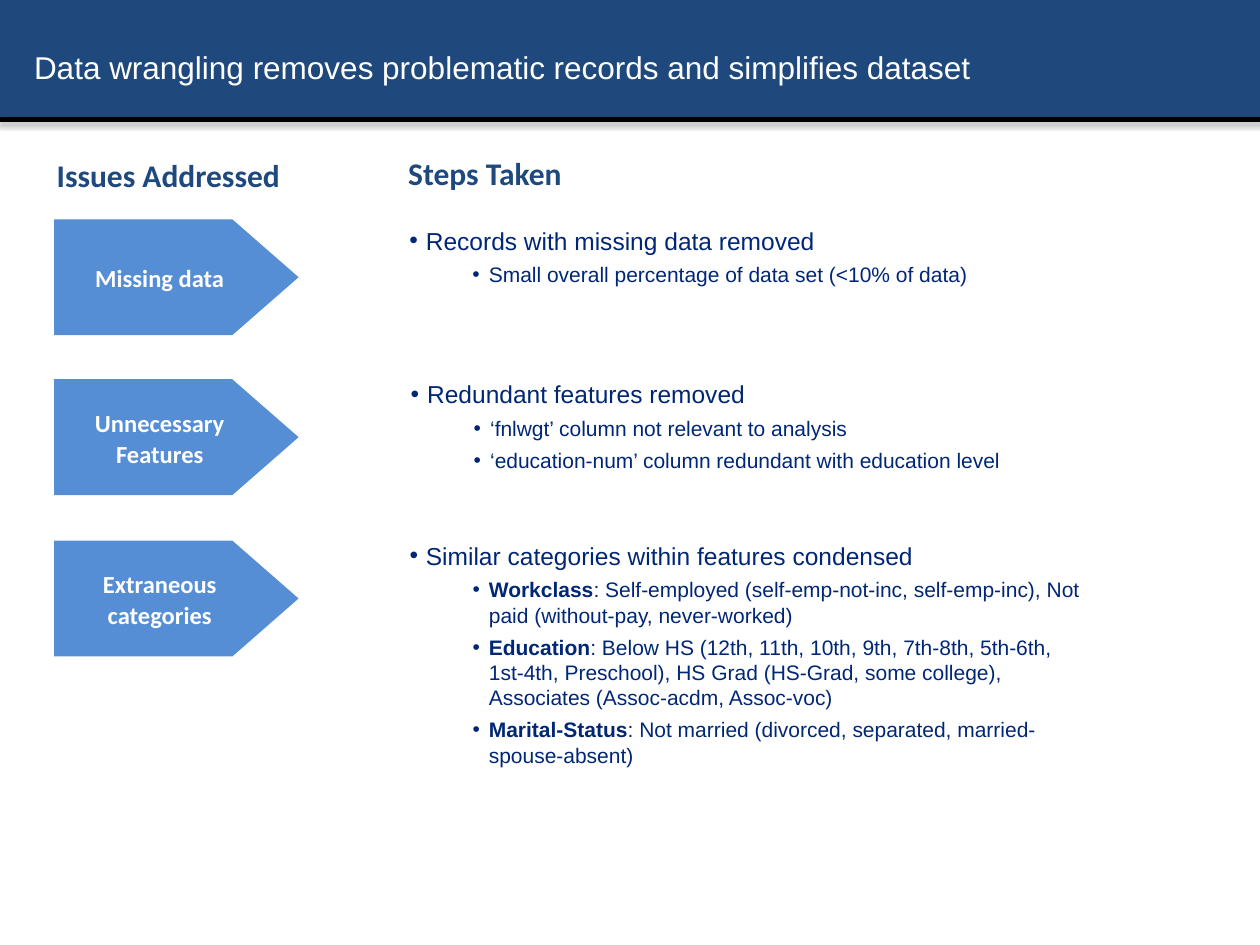
from dataclasses import dataclass

from lxml import etree
from pptx import Presentation
from pptx.dml.color import RGBColor
from pptx.enum.shapes import MSO_CONNECTOR, MSO_SHAPE
from pptx.enum.text import MSO_ANCHOR, MSO_AUTO_SIZE, PP_ALIGN
from pptx.oxml import parse_xml
from pptx.oxml.ns import nsdecls, qn
from pptx.util import Inches, Pt

RECT, ARROW = MSO_SHAPE.RECTANGLE, MSO_SHAPE.PENTAGON
STRAIGHT = MSO_CONNECTOR.STRAIGHT
TOP, MIDDLE = MSO_ANCHOR.TOP, MSO_ANCHOR.MIDDLE
LEFT, CENTER = PP_ALIGN.LEFT, PP_ALIGN.CENTER


@dataclass(frozen=True)
class Theme:
    navy: RGBColor = RGBColor(0x1F, 0x49, 0x7D)
    blue: RGBColor = RGBColor(0x55, 0x8E, 0xD5)
    text: RGBColor = RGBColor(0x00, 0x27, 0x76)
    white: RGBColor = RGBColor(0xFF, 0xFF, 0xFF)
    black: RGBColor = RGBColor(0, 0, 0)
    body_font: str = "Arial"
    head_font: str = "Calibri"
    head: int = 18
    item: int = 14
    detail: int = 12


T = Theme()


def style(p, font, size, color, bold=False):
    for r in p.runs:
        r.font.name, r.font.size, r.font.bold = font, Pt(size), bold
        r.font.color.rgb = color


def add_text_frame(s, x, y, w, h):
    """Add a wrapping text box without insets."""
    tf = s.shapes.add_textbox(Inches(x), Inches(y), Inches(w), Inches(h)).text_frame
    tf.word_wrap = True
    tf.margin_left = tf.margin_right = tf.margin_top = tf.margin_bottom = 0
    return tf


# Each issue: label, top, left of its steps, main step, details as (bold lead, text)
ISSUES = [
    ("Missing data", 1.74, (3.25, 1.79, 4.67, 0.75),
     "Records with missing data removed",
     [("", "Small overall percentage of data set (<10% of data)")]),
    ("Unnecessary Features", 3.01, (3.26, 3.01, 5.41, 1.01),
     "Redundant features removed",
     [("", "‘fnlwgt’ column not relevant to analysis"),
      ("", "‘education-num’ column redundant with education level")]),
    ("Extraneous categories", 4.29, (3.25, 4.29, 5.41, 2.08),
     "Similar categories within features condensed",
     [("Workclass", ": Self-employed (self-emp-not-inc, self-emp-inc), "
                    "Not paid (without-pay, never-worked)"),
      ("Education", ": Below HS (12th, 11th, 10th, 9th, 7th-8th, 5th-6th, 1st-4th, "
                    "Preschool), HS Grad (HS-Grad, some college), "
                    "Associates (Assoc-acdm, Assoc-voc)"),
      ("Marital-Status", ": Not married (divorced, separated, married-spouse-absent)")]),
]

prs = Presentation()
prs.slide_width, prs.slide_height = Inches(10), Inches(7.5)
s = prs.slides.add_slide(prs.slide_layouts[5])

# Header band, placed behind the title
band = s.shapes.add_shape(RECT, Inches(-0.01), 0, Inches(10.03), Inches(0.93))
band.shadow.inherit = False
band.fill.solid()
band.fill.fore_color.rgb = T.navy
band.line.fill.background()
s.shapes._spTree.insert(2, band._element)

rule = s.shapes.add_connector(STRAIGHT, Inches(-0.01), Inches(0.95),
                              Inches(10.02), Inches(0.95))
rule.line.color.rgb = T.black
rule.line.width = Pt(3)
rule._element.spPr.append(parse_xml(
    f'<a:effectLst {nsdecls("a")}>'
    f'<a:outerShdw blurRad="{Pt(3.1)}" dist="{Pt(1.8)}" dir="5400000" rotWithShape="0">'
    f'<a:srgbClr val="{T.black}"><a:alpha val="35000"/></a:srgbClr>'
    '</a:outerShdw></a:effectLst>'))

title = s.shapes.title
title.left, title.top = Inches(0.17), Inches(0.33)
title.width, title.height = Inches(9.92), Inches(0.4)
tf = title.text_frame
tf.text = "Data wrangling removes problematic records and simplifies dataset"
tf.vertical_anchor, tf.auto_size = TOP, MSO_AUTO_SIZE.NONE
tf.paragraphs[0].alignment = LEFT
style(tf.paragraphs[0], T.body_font, T.head, T.white)

for x, y, heading in [(0.45, 1.24, "Issues Addressed"), (3.24, 1.22, "Steps Taken")]:
    tf = add_text_frame(s, x, y, 3.3, 0.3)
    tf.text = heading
    style(tf.paragraphs[0], T.head_font, T.head, T.navy, bold=True)

for label, top, steps_box, step, details in ISSUES:
    arrow = s.shapes.add_shape(ARROW, Inches(0.43), Inches(top), Inches(1.94), Inches(0.92))
    arrow.adjustments[0] = 0.572
    arrow.shadow.inherit = False
    arrow.fill.solid()
    arrow.fill.fore_color.rgb = T.blue
    arrow.line.fill.background()
    tf = arrow.text_frame
    tf.text = label
    tf.word_wrap, tf.vertical_anchor = True, MIDDLE
    p = tf.paragraphs[0]
    p.alignment, p.line_spacing = CENTER, 1.06
    style(p, T.head_font, T.item, T.white, bold=True)

    tf = add_text_frame(s, *steps_box)
    tf.text = step
    style(tf.paragraphs[0], T.body_font, T.item, T.text)
    for lead, detail in details:
        p = tf.add_paragraph()
        for part in filter(None, (lead, detail)):
            p.add_run().text = part
        style(p, T.body_font, T.detail, T.text)
        p.runs[0].font.bold = bool(lead)

    for i, p in enumerate(tf.paragraphs):
        p.level = 2 if i else 1
        p.space_before = Pt(4)
        pPr = p._p.get_or_add_pPr()
        pPr.set("marL", str(Inches(0.63 if i else 0.13)))
        pPr.set("indent", str(Inches(-0.13)))
        etree.SubElement(pPr, qn("a:buFont"), typeface=T.body_font)
        etree.SubElement(pPr, qn("a:buChar"), char="•")

prs.save("out.pptx")
